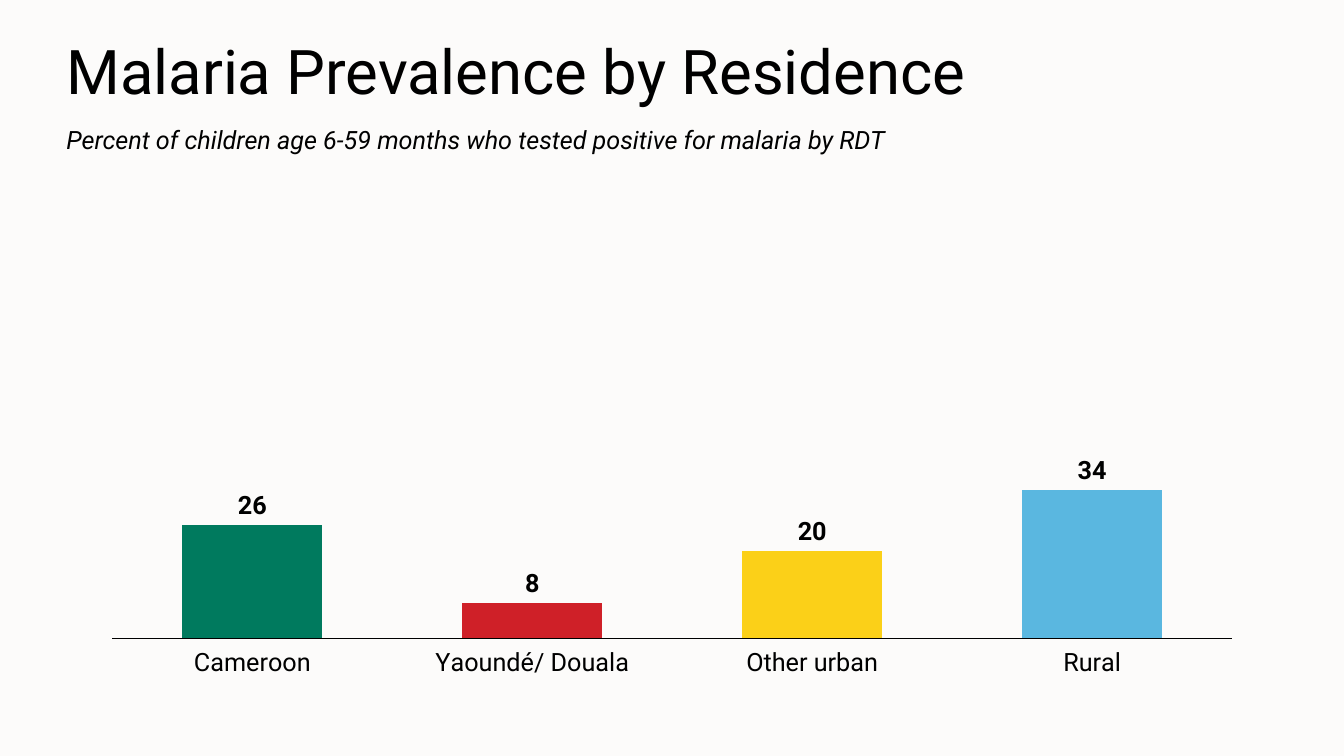
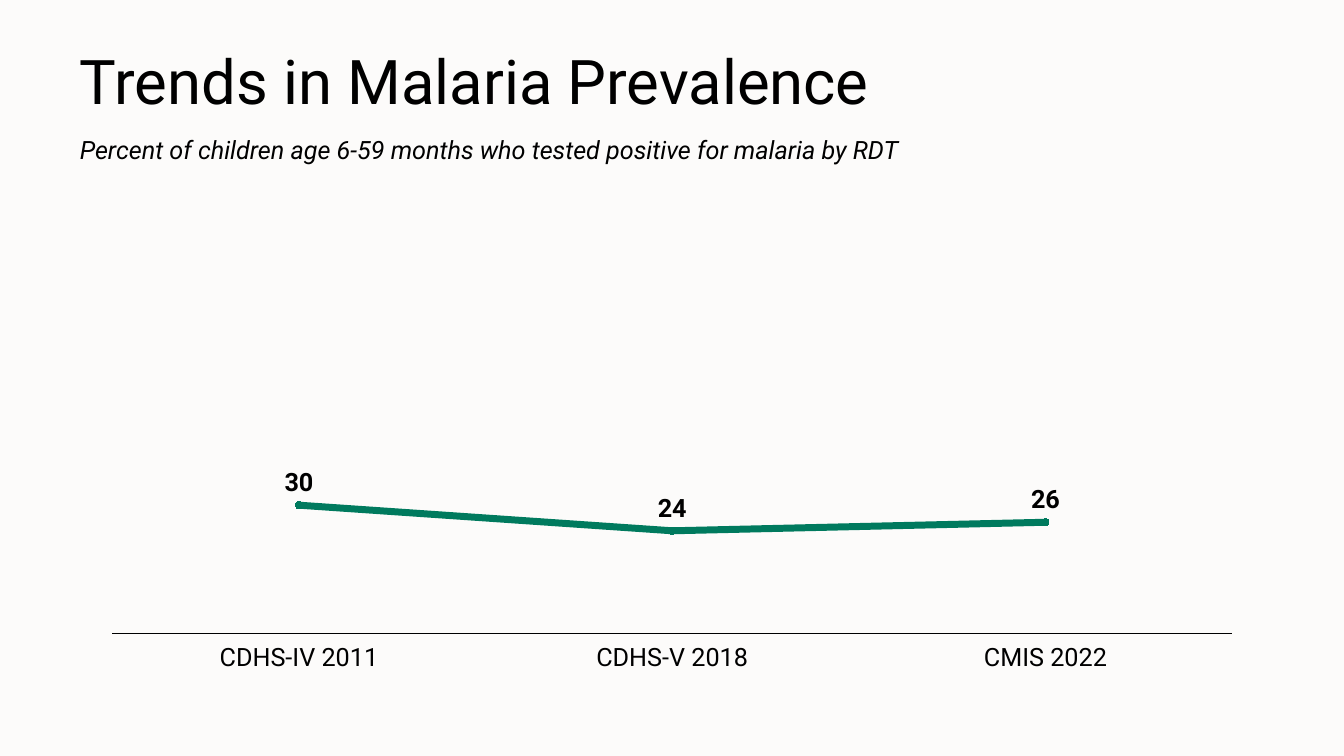
"""Two slides on malaria prevalence in children: by residence, and over time."""
from lxml import etree
from pptx import Presentation
from pptx.chart.data import CategoryChartData
from pptx.dml.color import RGBColor
from pptx.enum.chart import (XL_CHART_TYPE, XL_LABEL_POSITION, XL_MARKER_STYLE,
                             XL_TICK_LABEL_POSITION, XL_TICK_MARK)
from pptx.enum.text import MSO_ANCHOR, MSO_AUTO_SIZE, PP_ALIGN
from pptx.oxml.ns import qn
from pptx.util import Inches, Pt

COLUMNS = XL_CHART_TYPE.COLUMN_CLUSTERED
LINE = XL_CHART_TYPE.LINE_MARKERS
ABOVE_POINT = XL_LABEL_POSITION.ABOVE
ABOVE_BAR = XL_LABEL_POSITION.OUTSIDE_END
CIRCLE = XL_MARKER_STYLE.CIRCLE
NO_TICKS = XL_TICK_MARK.NONE
LABELS_LOW = XL_TICK_LABEL_POSITION.LOW
LEFT = PP_ALIGN.LEFT
MIDDLE = MSO_ANCHOR.MIDDLE
NO_FIT = MSO_AUTO_SIZE.NONE

FONT = "Roboto"
COLORS = {"paper": "FCFBFA", "ink": "000000", "green": "007A5E",
          "red": "CF2028", "yellow": "FBD018", "blue": "5AB7E0"}
SUBTITLE = "Percent of children age 6-59 months who tested positive for malaria by RDT"

SLIDES = [
    {"title": "Malaria Prevalence by Residence", "col": 4.2, "row": 3,
     "kind": COLUMNS, "label_position": ABOVE_BAR, "plot_top": 0, "plot_height": 0.91,
     "prevalence": {"Cameroon": 26, "Yaoundé/ Douala": 8, "Other urban": 20, "Rural": 34}},
    {"title": "Trends in Malaria Prevalence", "col": 5.2, "row": 4,
     "kind": LINE, "label_position": ABOVE_POINT, "plot_top": 0.01, "plot_height": 0.89,
     "prevalence": {"CDHS-IV 2011": 30, "CDHS-V 2018": 24, "CMIS 2022": 26}},
]
BAR_COLORS = ["green", "red", "yellow", "blue"]


def color(name):
    return RGBColor.from_string(COLORS[name])


def style(font, size, bold=False, italic=False):
    font.name = FONT
    font.size = Pt(size)
    font.bold = bold
    font.italic = italic
    font.color.rgb = color("ink")


deck = Presentation()
deck.slide_width, deck.slide_height = Inches(13.33), Inches(7.5)
COL, ROW = deck.slide_width / 100, deck.slide_height / 75

paper = deck.slide_master.background.fill
paper.solid()
paper.fore_color.rgb = color("paper")

for content in SLIDES:
    slide = deck.slides.add_slide(deck.slide_layouts[5])
    left, top = int(content["col"] * COL), int(content["row"] * ROW)

    title = slide.shapes.title
    title.left, title.top = left, top
    title.width, title.height = int(88 * COL), int(8.8 * ROW)
    subtitle = slide.shapes.add_textbox(left, top + title.height, int(90 * COL), int(4 * ROW))

    for heading, wording, size, italic in ((title, content["title"], 44, False),
                                           (subtitle, SUBTITLE, 18, True)):
        frame = heading.text_frame
        frame.word_wrap = True
        frame.auto_size = NO_FIT
        paragraph = frame.paragraphs[0]
        paragraph.alignment = LEFT
        run = paragraph.add_run()
        run.text = wording
        style(run.font, size, italic=italic)
    title.text_frame.vertical_anchor = MIDDLE
    title.text_frame.paragraphs[0].line_spacing = 0.9

    prevalence = CategoryChartData()
    prevalence.categories = list(content["prevalence"])
    prevalence.add_series("Series 1", list(content["prevalence"].values()))
    chart = slide.shapes.add_chart(content["kind"], int(6.9 * COL), int(20 * ROW),
                                   int(86.25 * COL), int(47.6 * ROW), prevalence).chart
    chart.has_title = False
    chart.has_legend = False
    style(chart.font, 10)

    surveys = chart.category_axis
    surveys.major_tick_mark = surveys.minor_tick_mark = NO_TICKS
    surveys.tick_label_position = LABELS_LOW
    surveys.has_major_gridlines = False
    style(surveys.tick_labels.font, 18)
    surveys.format.line.color.rgb = color("ink")
    surveys.format.line.width = Pt(0.75)

    percent = chart.value_axis
    percent.minimum_scale, percent.maximum_scale = 0, 100
    percent.has_major_gridlines = False
    percent.visible = False

    plot = chart.plots[0]
    plot.vary_by_categories = False
    plot.has_data_labels = True
    plot.data_labels.show_value = True
    plot.data_labels.position = content["label_position"]
    style(plot.data_labels.font, 18, bold=True)

    series = plot.series[0]
    if content["kind"] == COLUMNS:
        plot.gap_width = 100
        for index, name in enumerate(BAR_COLORS):
            bar = series.points[index].format.fill
            bar.solid()
            bar.fore_color.rgb = color(name)
    else:
        series.smooth = False
        series.format.line.color.rgb = color("green")
        series.format.line.width = Pt(5)
        series.marker.style = CIRCLE
        series.marker.size = 5
        series.marker.format.fill.solid()
        series.marker.format.fill.fore_color.rgb = color("green")
        series.marker.format.line.color.rgb = color("green")

    plot_area = chart.element.find(".//" + qn("c:plotArea"))
    for automatic in plot_area.findall(qn("c:layout")):
        plot_area.remove(automatic)
    layout = etree.Element(qn("c:layout"))
    manual = etree.SubElement(layout, qn("c:manualLayout"))
    for tag, value in (("layoutTarget", "inner"), ("xMode", "edge"), ("yMode", "edge"),
                       ("x", 0.017), ("y", content["plot_top"]),
                       ("w", 0.966), ("h", content["plot_height"])):
        etree.SubElement(manual, qn("c:" + tag)).set("val", str(value))
    plot_area.insert(0, layout)

deck.save("out.pptx")
